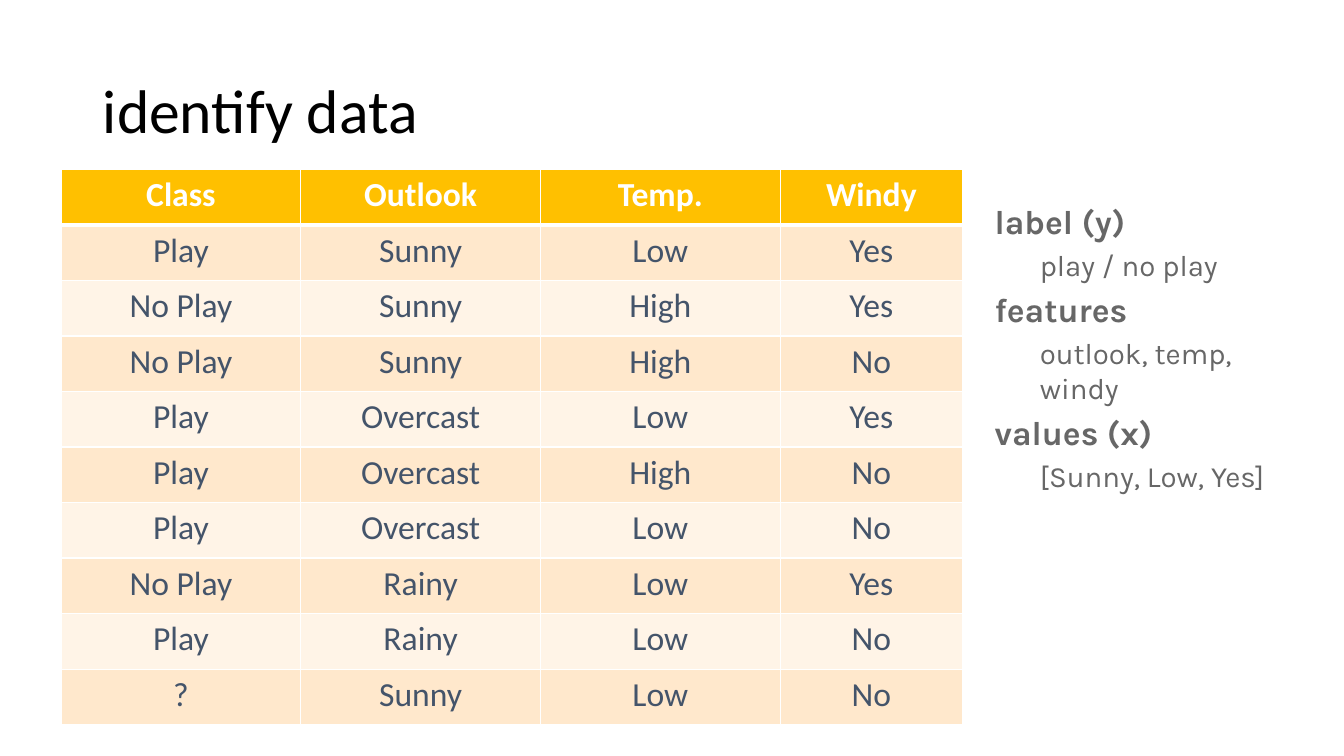
from lxml import etree
from pptx import Presentation
from pptx.dml.color import RGBColor
from pptx.enum.text import MSO_ANCHOR, MSO_AUTO_SIZE, PP_ALIGN
from pptx.oxml.ns import qn
from pptx.util import Cm, Pt

LEFT, CENTER = PP_ALIGN.LEFT, PP_ALIGN.CENTER
MIDDLE, TOP = MSO_ANCHOR.MIDDLE, MSO_ANCHOR.TOP

BLACK = RGBColor(0x00, 0x00, 0x00)
WHITE = RGBColor(0xFF, 0xFF, 0xFF)
GOLD = RGBColor(0xFF, 0xC0, 0x00)
PEACH = RGBColor(0xFF, 0xE8, 0xCC)
CREAM = RGBColor(0xFF, 0xF4, 0xE7)
SLATE = RGBColor(0x44, 0x54, 0x6A)
GRAY = RGBColor(0x67, 0x67, 0x67)

# Content
TITLE = "identify data"
WEATHER = [
    ("Class", "Outlook", "Temp.", "Windy"),
    ("Play", "Sunny", "Low", "Yes"),
    ("No Play", "Sunny", "High", "Yes"),
    ("No Play", "Sunny", "High", "No"),
    ("Play", "Overcast", "Low", "Yes"),
    ("Play", "Overcast", "High", "No"),
    ("Play", "Overcast", "Low", "No"),
    ("No Play", "Rainy", "Low", "Yes"),
    ("Play", "Rainy", "Low", "No"),
    ("?", "Sunny", "Low", "No"),
]
TERMS = [
    ("label (y)", "play / no play"),
    ("features", "outlook, temp, windy"),
    ("values (x)", "[Sunny, Low, Yes]"),
]

# Layout
COLUMN_WIDTHS = [Cm(6.04), Cm(6.04), Cm(6.04), Cm(4.6)]
ROW_HEIGHT = Cm(1.4)
TERM_INDENT, DETAIL_INDENT = Cm(0.1), Cm(1.24)


def write(paragraph, text, size, color, font="Calibri", bold=False, align=LEFT):
    paragraph.alignment = align
    run = paragraph.add_run()
    run.text = text
    run.font.name = font
    run.font.size = Pt(size)
    run.font.bold = bold
    run.font.color.rgb = color


def place(shape, left, top, width, height, anchor):
    shape.left, shape.top = Cm(left), Cm(top)
    shape.width, shape.height = Cm(width), Cm(height)
    shape.text_frame.auto_size = MSO_AUTO_SIZE.NONE
    shape.text_frame.vertical_anchor = anchor


def add_borders(cell, bottom_width):
    properties = cell._tc.get_or_add_tcPr()
    for side, width in (("L", 1), ("R", 1), ("T", 1), ("B", bottom_width)):
        line = etree.SubElement(properties, qn("a:ln" + side), w=str(Pt(width)))
        fill = etree.SubElement(line, qn("a:solidFill"))
        etree.SubElement(fill, qn("a:srgbClr"), val=str(WHITE))


def indent_without_bullet(paragraph, indent):
    properties = paragraph._p.get_or_add_pPr()
    properties.set("marL", str(indent))
    properties.set("indent", "0")
    etree.SubElement(properties, qn("a:buNone"))


def add_weather_table(slide):
    frame = slide.shapes.add_table(
        len(WEATHER), len(COLUMN_WIDTHS), Cm(1.54), Cm(4.27),
        sum(COLUMN_WIDTHS), ROW_HEIGHT * len(WEATHER))
    table = frame.table
    for column, width in zip(table.columns, COLUMN_WIDTHS):
        column.width = width
    for row_index, values in enumerate(WEATHER):
        header = row_index == 0
        band = GOLD if header else PEACH if row_index % 2 else CREAM
        for column_index, value in enumerate(values):
            cell = table.cell(row_index, column_index)
            cell.margin_left = cell.margin_right = Cm(0.5)
            cell.margin_top = cell.margin_bottom = Cm(0.13)
            add_borders(cell, bottom_width=3 if header else 1)
            cell.fill.solid()
            cell.fill.fore_color.rgb = band
            write(cell.text_frame.paragraphs[0], value, 24,
                  WHITE if header else SLATE, bold=header, align=CENTER)


def add_terms(body):
    place(body, 24.71, 4.93, 8.66, 9.96, TOP)
    lines = [(text, level) for term in TERMS for level, text in enumerate(term)]
    for index, (text, level) in enumerate(lines):
        frame = body.text_frame
        paragraph = frame.add_paragraph() if index else frame.paragraphs[0]
        paragraph.level = level
        indent_without_bullet(paragraph, DETAIL_INDENT if level else TERM_INDENT)
        write(paragraph, text, 21 if level else 24, GRAY,
              font="Karla", bold=level == 0)


def main():
    presentation = Presentation()
    presentation.slide_width, presentation.slide_height = Cm(33.87), Cm(19.05)
    slide = presentation.slides.add_slide(presentation.slide_layouts[1])

    # Title
    title = slide.shapes.title
    place(title, 2.34, 1.02, 29.21, 3.68, MIDDLE)
    heading = title.text_frame.paragraphs[0]
    heading.line_spacing = 0.9
    write(heading, TITLE, 44, BLACK)

    # Data table and its vocabulary
    add_weather_table(slide)
    add_terms(slide.placeholders[1])
    presentation.save("out.pptx")


if __name__ == "__main__":
    main()
